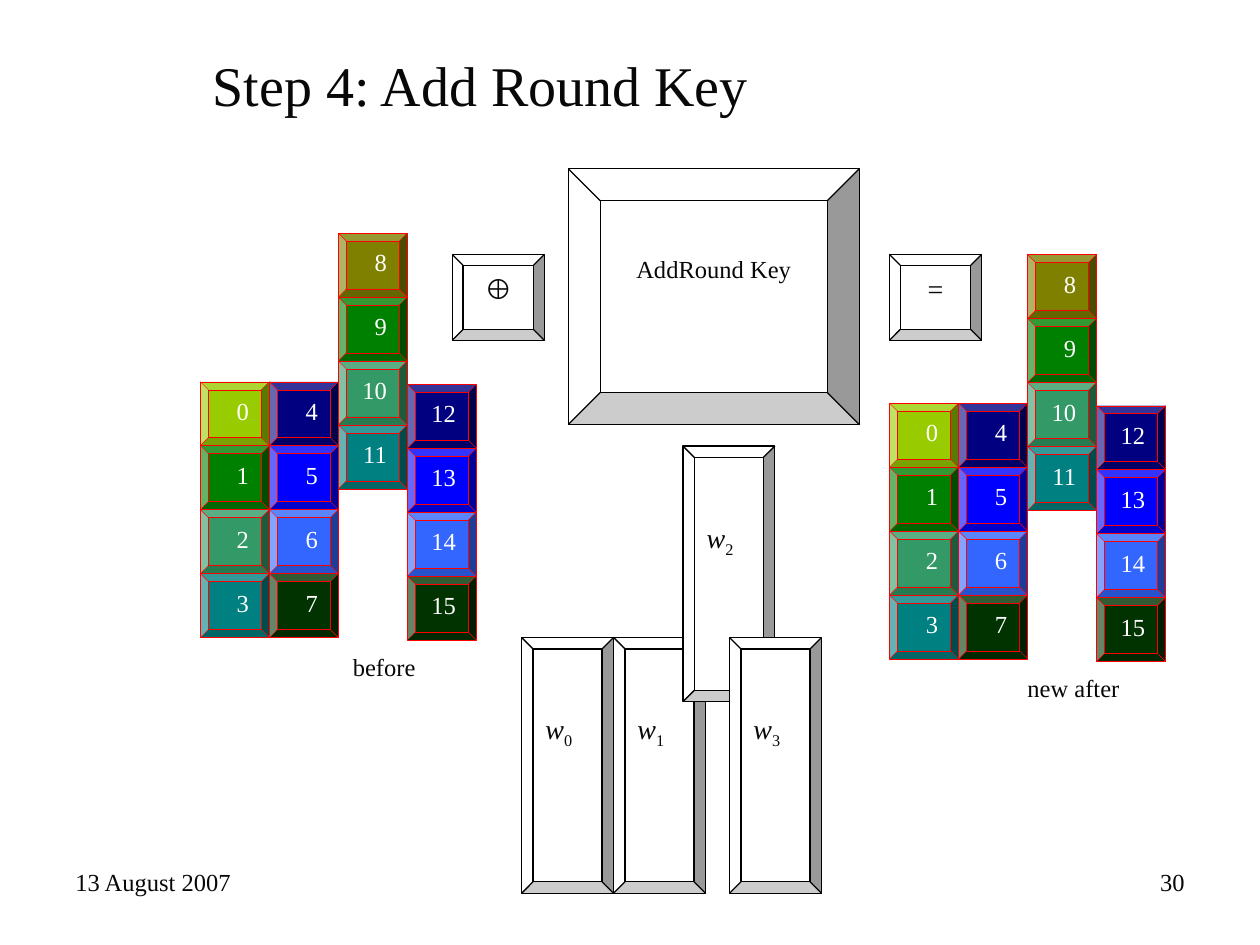
from pptx import Presentation
from pptx.dml.color import RGBColor
from pptx.enum.shapes import MSO_SHAPE
from pptx.enum.text import MSO_ANCHOR, PP_ALIGN
from pptx.util import Inches, Pt

BEVEL = MSO_SHAPE.BEVEL
LEFT, CENTER, RIGHT = PP_ALIGN.LEFT, PP_ALIGN.CENTER, PP_ALIGN.RIGHT
TOP, MIDDLE = MSO_ANCHOR.TOP, MSO_ANCHOR.MIDDLE

INK = RGBColor(0x08, 0x08, 0x08)
BLACK = RGBColor(0x00, 0x00, 0x00)
WHITE = RGBColor(0xFF, 0xFF, 0xFF)
RED = RGBColor(0xFF, 0x00, 0x00)
LIME = RGBColor(0x99, 0xCC, 0x00)
GREEN = RGBColor(0x00, 0x80, 0x00)
SEA = RGBColor(0x33, 0x99, 0x66)
TEAL = RGBColor(0x00, 0x80, 0x80)
OLIVE = RGBColor(0x80, 0x80, 0x00)
NAVY = RGBColor(0x00, 0x00, 0x80)
BLUE = RGBColor(0x00, 0x00, 0xFF)
SKY = RGBColor(0x33, 0x66, 0xFF)
FOREST = RGBColor(0x00, 0x33, 0x00)

# Content
TITLE = "Step 4: Add Round Key"
DATE, PAGE = "13 August 2007", "30"

# State columns: vertical offset from the first column, byte colours downwards
STATE_COLUMNS = [
    (0, (LIME, GREEN, SEA, TEAL)),
    (0, (NAVY, BLUE, SKY, FOREST)),
    (-1.18, (OLIVE, GREEN, SEA, TEAL)),
    (0.02, (NAVY, BLUE, SKY, FOREST)),
]
# Caption, left and top of the first column
STATES = [("before", 1.59, 3.03), ("new after", 7.06, 3.2)]
# Symbol, left, font
OPERATORS = [("⊕", 3.59, "Arial"), ("=", 7.06, "Times New Roman")]
# Left and top of the key words w0 to w3
KEY_WORDS = [(4.14, 5.06), (4.87, 5.06), (5.42, 3.54), (5.79, 5.06)]

STATE_W, STATE_H = 2.19, 2.03
CELL_W, CELL_H = STATE_W / 4, STATE_H / 4
KEY_W = 0.73

prs = Presentation()
prs.slide_width, prs.slide_height = Inches(10), Inches(7.5)
slide = prs.slides.add_slide(prs.slide_layouts[6])


def write(box, text, subscript="", size=14, font="Times New Roman", color=INK,
          align=LEFT, anchor=TOP, italic=False, top_inset=0.05):
    frame = box.text_frame
    frame.word_wrap = True
    frame.vertical_anchor = anchor
    frame.margin_left = frame.margin_right = Inches(0.1)
    frame.margin_top, frame.margin_bottom = Inches(top_inset), Inches(0.05)
    paragraph = frame.paragraphs[0]
    paragraph.alignment = align
    for part in filter(None, (text, subscript)):
        run = paragraph.add_run()
        run.text = part
        run.font.size, run.font.name = Pt(size), font
        run.font.color.rgb = color
        run.font.italic = italic and part == text
    if subscript:
        run.font._element.set("baseline", "-25000")


def add_label(left, top, width, height, text, **text_format):
    box = slide.shapes.add_textbox(Inches(left), Inches(top), Inches(width), Inches(height))
    write(box, text, **text_format)


def add_bevel(left, top, width, height, text, fill=WHITE, line=BLACK,
              line_width=0.75, **text_format):
    block = slide.shapes.add_shape(
        BEVEL, Inches(left), Inches(top), Inches(width), Inches(height))
    block.shadow.inherit = False
    if fill is None:
        block.fill.background()
        block.line.fill.background()
    else:
        block.fill.solid()
        block.fill.fore_color.rgb = fill
        block.line.color.rgb = line
        block.line.width = Pt(line_width)
    write(block, text, **text_format)


# Footer and title
add_label(0.5, 6.83, 2.33, 0.52, DATE)
add_label(7.17, 6.83, 2.33, 0.52, PAGE, align=RIGHT)
add_label(1.59, 0.08, 8.07, 1.17, TITLE, size=32, anchor=MIDDLE)

# Operation and its operators
add_bevel(4.51, 1.34, 2.31, STATE_H, "AddRound Key", align=CENTER, top_inset=0.42)
for symbol, left, font in OPERATORS:
    add_bevel(left, 2.02, KEY_W, 0.68, symbol, size=16, font=font, align=CENTER)

# State before and after, bytes numbered down the columns
for caption, left, top in STATES:
    for col, (shift, colors) in enumerate(STATE_COLUMNS):
        for row, color in enumerate(colors):
            add_bevel(left + col * CELL_W, top + shift + row * CELL_H, CELL_W, CELL_H,
                      str(4 * col + row), fill=color, line=RED, line_width=0.25,
                      color=WHITE, align=RIGHT)
    add_bevel(left + KEY_W, top + STATE_H, 2 * KEY_W, CELL_H, caption,
              fill=None, align=CENTER)

# Round key words
for number, (left, top) in enumerate(KEY_WORDS):
    add_bevel(left, top, KEY_W, STATE_H, "w", subscript=str(number), size=16,
              italic=True, top_inset=0.5)

prs.save("out.pptx")
